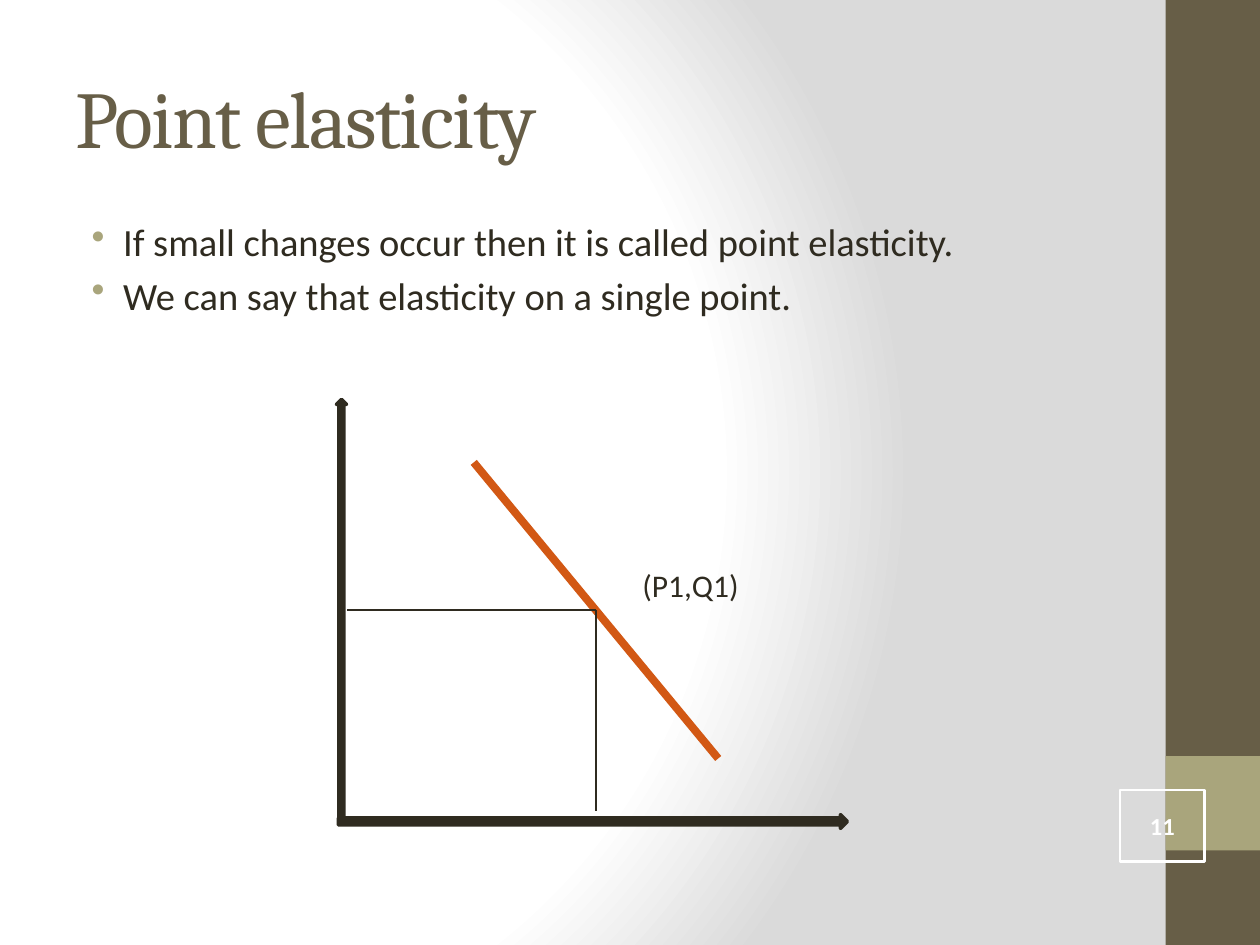
from dataclasses import dataclass

from pptx import Presentation, oxml
from pptx import util as u
from pptx.dml import color
from pptx.enum import shapes, text
from pptx.oxml import ns


@dataclass(frozen=True)
class Theme:
    brown: str = "675E47"
    olive: str = "A9A57C"
    ink: str = "2F2B20"
    curve: str = "D25814"
    white: str = "FFFFFF"
    gray: str = "DADADA"
    head: str = "Cambria"
    body: str = "Calibri"
    title: int = 46
    list: int = 22
    label: int = 18
    page: int = 14


THEME = Theme()


def rgb(code):
    return color.RGBColor.from_string(code)


def inch(*nums):
    return [u.Inches(n) for n in nums]


def set_all(obj, vals):
    for key, val in vals.items():
        setattr(obj, key, val)


def set_line(line, code, width):
    line.color.rgb = rgb(code)
    line.width = u.Pt(width)


def set_back(slide):
    stops = ((0, THEME.white), (75, THEME.white), (100, THEME.gray))
    marks = "".join(f'<a:gs pos="{pos * 1000}"><a:srgbClr val="{code}"/></a:gs>'
                    for pos, code in stops)
    slide.element.cSld.insert(0, oxml.parse_xml(
        f'<p:bg {ns.nsdecls("p", "a")}><p:bgPr><a:gradFill rotWithShape="1">'
        f'<a:gsLst>{marks}</a:gsLst><a:path path="circle">'
        '<a:fillToRect l="20000" t="50000" r="100000" b="50000"/></a:path>'
        '</a:gradFill><a:effectLst/></p:bgPr></p:bg>'))


def add_shape(slide, kind, box, fill=None, line=None, turn=0):
    shape = slide.shapes.add_shape(kind, *inch(*box))
    shape.shadow.inherit = False
    shape.rotation = turn
    if fill:
        shape.fill.solid()
        shape.fill.fore_color.rgb = rgb(fill)
    else:
        shape.fill.background()
    if line:
        set_line(shape.line, *line)
    else:
        shape.line.fill.background()
    return shape


def add_line(slide, start, end, code, width):
    line = slide.shapes.add_connector(
        shapes.MSO_CONNECTOR.STRAIGHT, *inch(*start, *end))
    set_line(line.line, code, width)
    line.element.spPr.append(oxml.parse_xml(f'<a:effectLst {ns.nsdecls("a")}/>'))


def add_bullet(para):
    props = para._p.get_or_add_pPr()
    props.set("marL", str(u.Inches(0.38)))
    props.set("indent", str(u.Inches(-0.25)))
    for part in (f'<a:buClr {ns.nsdecls("a")}><a:srgbClr val="{THEME.olive}"/></a:buClr>',
                 f'<a:buChar {ns.nsdecls("a")} char="•"/>'):
        props.append(oxml.parse_xml(part))


def put_text(frame, lines, font, code, bullet=False, gap=0):
    frame.word_wrap = True
    for num, words in enumerate(lines):
        para = frame.add_paragraph() if num else frame.paragraphs[0]
        if bullet:
            add_bullet(para)
        if num:
            para.space_before = u.Pt(gap)
        run = para.add_run()
        run.text = words
        set_all(run.font, font)
        run.font.color.rgb = rgb(code)
    return frame


def add_text(slide, box, lines, font, code, **more):
    frame = slide.shapes.add_textbox(*inch(*box)).text_frame
    return put_text(frame, lines, font, code, **more)


def add_side(slide):
    rect = shapes.MSO_SHAPE.RECTANGLE
    add_shape(slide, rect, (9.25, 0, 0.75, 7.5), THEME.brown)
    add_shape(slide, rect, (9.25, 6, 0.75, 0.75), THEME.olive)


def add_words(slide):
    title = add_text(slide, (0.5, 0.3, 8.33, 1.25), ["Point elasticity"],
                     {"name": THEME.head, "size": u.Pt(THEME.title)}, THEME.brown)
    title.vertical_anchor = text.MSO_ANCHOR.MIDDLE
    title.paragraphs[0].runs[0].font._element.set("spc", "-100")
    add_text(slide, (0.5, 1.68, 8.17, 5.33),
             ["If small changes occur then it is called point elasticity.",
              "We can say that elasticity on a single point."],
             {"name": THEME.body, "size": u.Pt(THEME.list)}, THEME.ink,
             bullet=True, gap=THEME.list * 0.2)


def add_graph(slide):
    # Price axis and quantity axis
    for box, turn in (((2.67, 3.17, 0.08, 3.36), 0), ((4.65, 4.5, 0.11, 4.04), 90)):
        add_shape(slide, shapes.MSO_SHAPE.UP_ARROW, box, THEME.ink, (THEME.ink, 2), turn)
    # Demand curve, with guides from its point to the axes
    add_line(slide, (3.76, 3.67), (5.7, 6.02), THEME.curve, 4.5)
    point = (4.73, 4.84)
    for foot in ((2.75, point[1]), (point[0], 6.44)):
        add_line(slide, point, foot, THEME.ink, 1)
    label = add_text(slide, (5, 4.44, 1.33, 0.4), ["(P1,Q1)"],
                     {"name": THEME.body, "size": u.Pt(THEME.label)}, THEME.ink)
    label.auto_size = text.MSO_AUTO_SIZE.SHAPE_TO_FIT_TEXT


def add_page(slide):
    box = add_shape(slide, shapes.MSO_SHAPE.RECTANGLE, (8.89, 6.27, 0.67, 0.57),
                    line=(THEME.white, 1.5))
    frame = put_text(box.text_frame, ["11"],
                     {"name": THEME.body, "size": u.Pt(THEME.page), "bold": True},
                     THEME.white)
    set_all(frame, {"margin_left": 0, "margin_right": 0, "margin_top": 0,
                    "margin_bottom": 0, "vertical_anchor": text.MSO_ANCHOR.MIDDLE})
    frame.paragraphs[0].alignment = text.PP_ALIGN.CENTER


def main():
    deck = Presentation()
    set_all(deck, {"slide_width": u.Inches(10), "slide_height": u.Inches(7.5)})
    slide = deck.slides.add_slide(deck.slide_layouts[6])
    set_back(slide)
    add_side(slide)
    add_words(slide)
    add_graph(slide)
    add_page(slide)
    deck.save("out.pptx")


if __name__ == "__main__":
    main()
